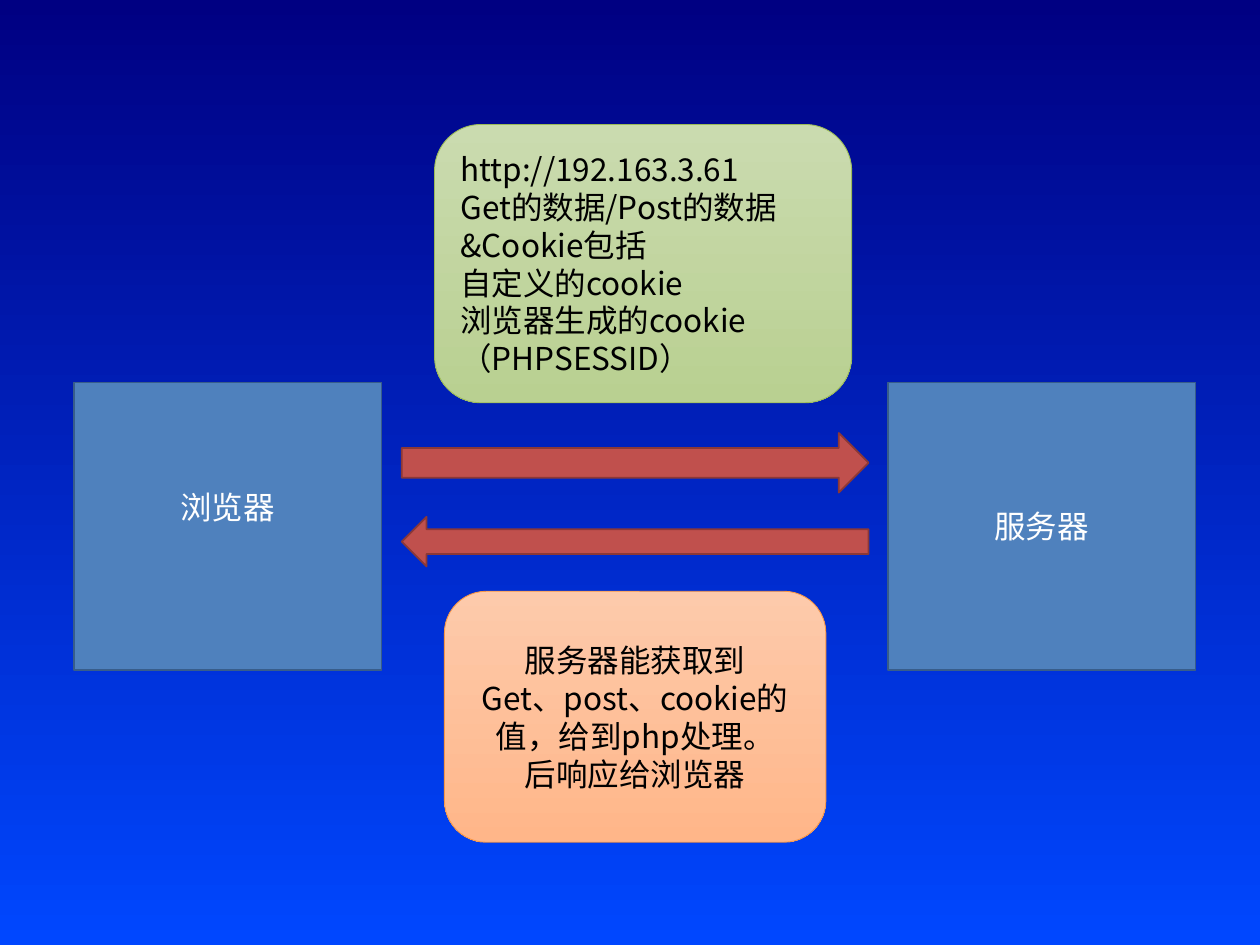
from dataclasses import dataclass
from typing import NamedTuple

from lxml.etree import SubElement
from pptx import Presentation
from pptx.dml.color import RGBColor
from pptx.enum.shapes import MSO_SHAPE as Shape
from pptx.enum.text import MSO_ANCHOR as Anchor, PP_ALIGN as Align
from pptx.oxml.ns import qn
from pptx.util import Cm, Pt


class Box(NamedTuple):
    left: float
    top: float
    width: float
    height: float

    def inner(self, left, top, width, height):
        return Box(self.left + left, self.top + top, width, height)


@dataclass(frozen=True)
class Theme:
    font: str = "Noto Sans CJK SC"
    size: int = 18
    dark: str = "000000"
    light: str = "FFFFFF"
    background: tuple = ("000082", "0047FF")
    node: tuple = ("4F81BD",)
    node_line: str = "385D8A"
    arrow: tuple = ("C0504D",)
    arrow_line: str = "8C3836"
    request: tuple = ("CADBAF", "B9D091")
    request_line: str = "9BBB59"
    response: tuple = ("FDCAAB", "FFB689")
    response_line: str = "F79646"


THEME = Theme()


def paint(fill, colors):
    if len(colors) == 1:
        fill.solid()
        fill.fore_color.rgb = RGBColor.from_string(colors[0])
        return
    fill.gradient()
    fill.gradient_angle = 270
    for stop, position, color in zip(fill.gradient_stops, (0, 1), colors):
        stop.position = position
        stop.color.rgb = RGBColor.from_string(color)


def add_block(page, kind, box, colors, line, line_width):
    block = page.shapes.add_shape(kind, *map(Cm, box))
    block.shadow.inherit = False
    paint(block.fill, colors)
    block.line.color.rgb = RGBColor.from_string(line)
    block.line.width = Pt(line_width)
    return block


def write(block, text, color, align=Align.CENTER):
    frame = block.text_frame
    frame.word_wrap = True
    frame.vertical_anchor = Anchor.MIDDLE
    frame.text = text
    for para in frame.paragraphs:
        para.alignment = align
        for span in para.runs:
            span.font.size = Pt(THEME.size)
            span.font.color.rgb = RGBColor.from_string(color)
            span.font.name = THEME.font
            east_asian = SubElement(span.font._element, qn("a:ea"))
            east_asian.set("typeface", THEME.font)


def add_node(page, box, name, lift=0):
    node = add_block(page, Shape.RECTANGLE, box, THEME.node, THEME.node_line, 1)
    write(node, name, THEME.light)
    node.text_frame.margin_bottom = Cm(0.13 + 2 * lift)


def add_card(page, box, text, colors, line, align):
    card = add_block(page, Shape.ROUNDED_RECTANGLE, box, colors, line, 0.5)
    write(card, text, THEME.dark, align)


def add_exchange(page, box, request, response):
    add_card(page, box.inner(0.66, 0, 8.41, 5.61), request,
             THEME.request, THEME.request_line, Align.LEFT)
    for kind, top, height in ((Shape.RIGHT_ARROW, 6.22, 1.2), (Shape.LEFT_ARROW, 7.91, 1)):
        add_block(page, kind, box.inner(0, top, box.width, height),
                  THEME.arrow, THEME.arrow_line, 1)
    add_card(page, box.inner(0.86, 9.41, 7.69, 5.06), response,
             THEME.response, THEME.response_line, Align.CENTER)


def main():
    deck = Presentation()
    deck.slide_width, deck.slide_height = Cm(25.4), Cm(19.05)
    page = deck.slides.add_slide(deck.slide_layouts[6])
    paint(page.background.fill, THEME.background)

    request = "\n".join((
        "http://192.163.3.61",
        "Get的数据/Post的数据",
        "&Cookie包括",
        "自定义的cookie",
        "浏览器生成的cookie",
        "（PHPSESSID）",
    ))
    response = "\n".join((
        "服务器能获取到",
        "Get、post、cookie的值，给到php处理。",
        "后响应给浏览器",
    ))
    add_node(page, Box(1.49, 7.71, 6.2, 5.8), "浏览器", lift=0.38)
    add_node(page, Box(17.9, 7.71, 6.2, 5.8), "服务器")
    add_exchange(page, Box(8.1, 2.51, 9.41, 14.47), request, response)
    deck.save("out.pptx")


if __name__ == "__main__":
    main()
